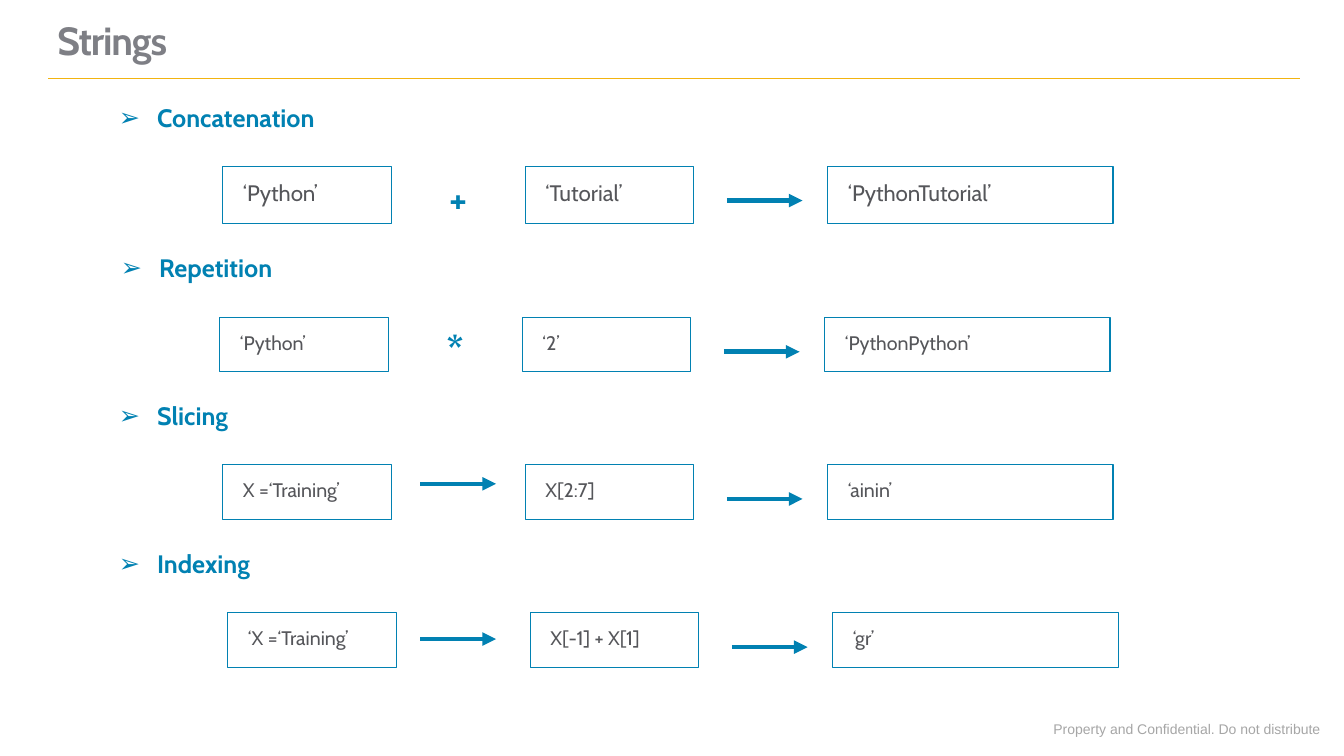
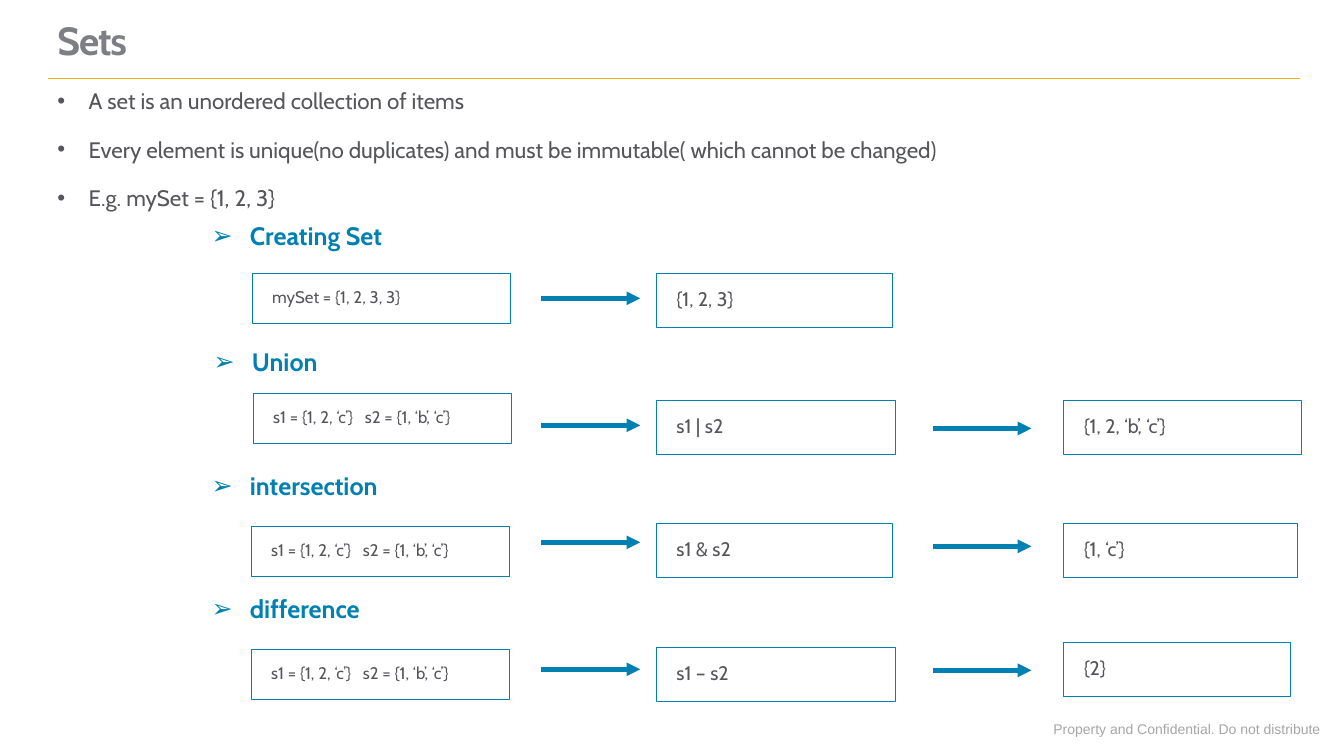
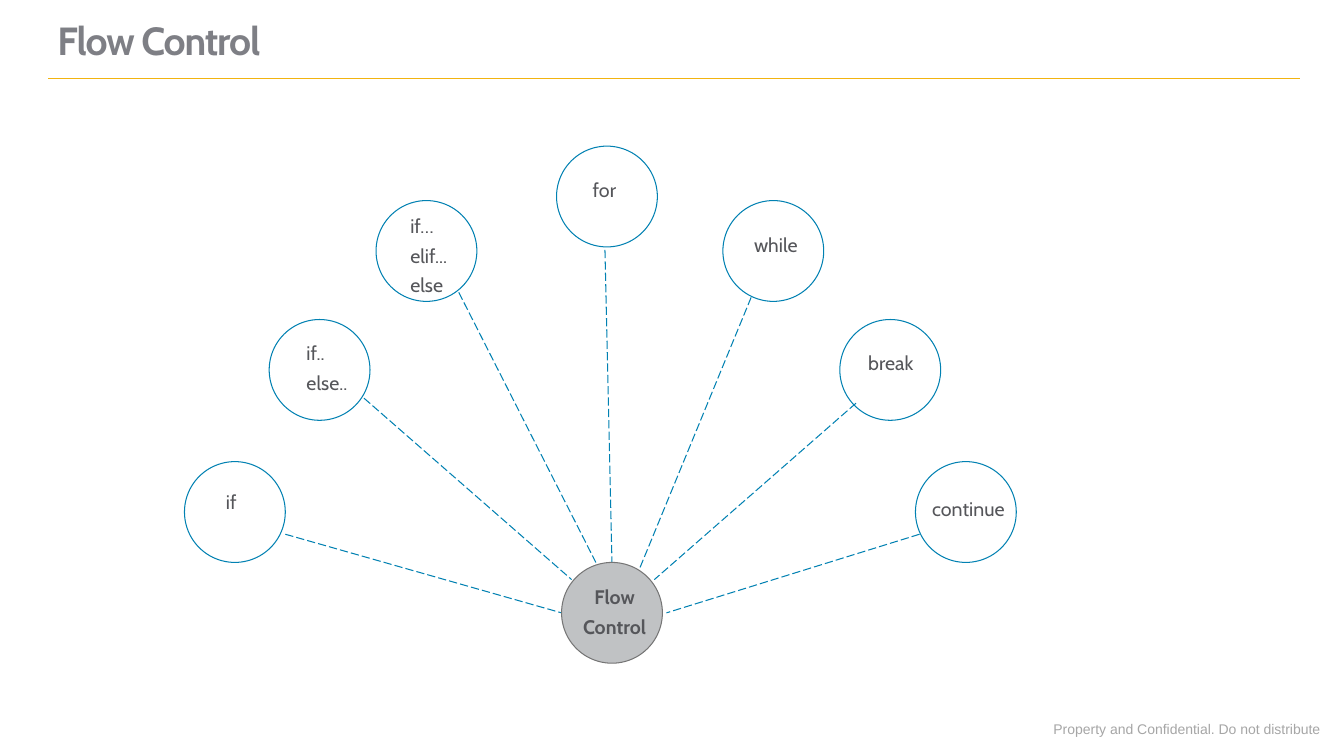
from lxml.etree import SubElement
from pptx import Presentation
from pptx.dml.color import RGBColor
from pptx.enum.dml import MSO_LINE
from pptx.enum.shapes import MSO_CONNECTOR, MSO_SHAPE
from pptx.enum.text import MSO_ANCHOR, PP_ALIGN
from pptx.oxml.ns import qn
from pptx.util import Inches, Pt

BLUE, GOLD, TITLE_GREY, TEXT_GREY = "0181B2", "F2B411", "7E7F85", "55565A"
FOOTER_GREY, HUB_FILL, HUB_LINE = "A6A6A6", "C0C2C4", "757575"
FONT = "Cabin"
WIDE_INSETS = (0.2, 0.16)
PLAIN_INSETS = (0.1, 0.05)


def color(value):
    return RGBColor.from_string(value)


def apply(target, values):
    for name, value in values.items():
        setattr(target, name, value)


class SlideBuilder:
    def __init__(self, deck):
        self.deck = deck
        self.page = None

    def start(self, title):
        """Add a page with the shared title, rule and footer."""
        self.page = self.deck.slides.add_slide(self.deck.slide_layouts[6])
        self.text((10.35, 7.1, 2.87, 0.27),
                  ["Property and Confidential. Do not distribute"], 10,
                  FOOTER_GREY, font="Arial", wrap=False, spacing=1.0, after=0)
        self.line((0.48, 0.78), (12.89, 0.78), GOLD)
        self.text((0.41, 0, 10, 0.73), [title], 28, TITLE_GREY, bold=True,
                  insets=(0.16, 0.1), anchor=MSO_ANCHOR.BOTTOM, after=0,
                  tracking=-80)

    def fill_text(self, box, lines, size, ink=TEXT_GREY, font=FONT, bold=False,
                  insets=PLAIN_INSETS, anchor=MSO_ANCHOR.TOP, wrap=True,
                  align=PP_ALIGN.LEFT, spacing=0.9, after=6, bullet=None,
                  indent=0, tab=None, tracking=None):
        """Fill a box with one paragraph for each line."""
        frame = box.text_frame
        side, edge = map(Inches, insets)
        apply(frame, {"word_wrap": wrap, "vertical_anchor": anchor,
                      "margin_left": side, "margin_right": side,
                      "margin_top": edge, "margin_bottom": edge})
        for number, line in enumerate(lines):
            para = frame.add_paragraph() if number else frame.paragraphs[0]
            properties = para._p.get_or_add_pPr()
            if bullet:
                properties.set("marL", str(Inches(indent)))
                properties.set("indent", str(-Inches(indent)))
                SubElement(properties, qn("a:buFont"), typeface="Arial")
                SubElement(properties, qn("a:buChar"), char=bullet)
            if tab:
                stops = SubElement(properties, qn("a:tabLst"))
                SubElement(stops, qn("a:tab"), pos=str(Inches(tab)), algn="l")
            apply(para, {"alignment": align, "line_spacing": spacing,
                         "space_after": Pt(after)})
            span = para.add_run()
            span.text = line
            apply(span.font, {"name": font, "size": Pt(size), "bold": bold})
            span.font.color.rgb = color(ink)
            if tracking:
                span._r.get_or_add_rPr().set("spc", str(tracking))

    def text(self, place, lines, size, ink=TEXT_GREY, **style):
        box = self.page.shapes.add_textbox(*map(Inches, place))
        self.fill_text(box, lines, size, ink, **style)

    def heading(self, place, label):
        self.text((*place, 0.37), [label], 18, BLUE, bold=True, wrap=False,
                  bullet="➢", indent=0.38)

    def operator(self, place, sign):
        self.text((*place, 0.53), [sign], 28, BLUE, bold=True, wrap=False,
                  align=PP_ALIGN.CENTER, after=0)

    def shape(self, kind, place, fill=None, edge=BLUE):
        shape = self.page.shapes.add_shape(kind, *map(Inches, place))
        shape.shadow.inherit = False
        if fill:
            shape.fill.solid()
            shape.fill.fore_color.rgb = color(fill)
        else:
            shape.fill.background()
        shape.line.color.rgb = color(edge)
        shape.line.width = Pt(0.75)
        return shape

    def code_box(self, place, code, size=14):
        box = self.shape(MSO_SHAPE.RECTANGLE, place)
        self.fill_text(box, [code], size, insets=WIDE_INSETS,
                       tab=0.91 if "\t" in code else None)

    def circle(self, left, top, **style):
        self.shape(MSO_SHAPE.OVAL, (left, top, 1, 1), **style)

    def line(self, start, end, ink=BLUE, width=0.75, dash=None, arrow=False):
        line = self.page.shapes.add_connector(
            MSO_CONNECTOR.STRAIGHT, *map(Inches, (*start, *end)))
        line.line.color.rgb = color(ink)
        line.line.width = Pt(width)
        if dash:
            line.line.dash_style = dash
        if arrow:
            SubElement(line.line._get_or_add_ln(), qn("a:tailEnd"),
                       type="triangle")
        SubElement(line._element.spPr, qn("a:effectLst"))

    def arrow(self, left, top, length):
        self.line((left, top), (left + length, top), width=3.25, arrow=True)


def strings_slide(builder):
    builder.start("Strings")
    # Heading, its place and width; boxes: left, top, height, size, code
    rows = [
        ("Concatenation", (1.08, 1.0, 2.19), (2.21, 1.65, 0.57, 16),
         ("‘Python’", "‘Tutorial’", "‘PythonTutorial’")),
        ("Repetition", (1.1, 2.49, 1.72), (2.18, 3.15, 0.54, 14),
         ("‘Python’", "‘2’", "‘PythonPython’")),
        ("Slicing", (1.08, 3.96, 1.31), (2.21, 4.61, 0.54, 14),
         ("X =‘Training’", "X[2:7]", "‘ainin’")),
        ("Indexing", (1.08, 5.42, 1.54), (2.26, 6.08, 0.54, 14),
         ("‘X =‘Training’", "X[-1] + X[1]", "‘gr’")),
    ]
    widths = (1.67, 1.67, 2.83)
    for label, place, (left, top, height, size), codes in rows:
        builder.heading(place, label)
        for column, (width, code) in enumerate(zip(widths, codes)):
            builder.code_box((left + 3 * column, top, width, height), code,
                             size)
        builder.arrow(left + 5, top + 0.34, 0.75)
    # Between the first two boxes
    builder.operator((4.31, 1.73, 0.47), "+")
    builder.operator((4.33, 3.23, 0.37), "*")
    for top in (4.8, 6.34):
        builder.arrow(4.17, top, 0.75)


def sets_slide(builder):
    builder.start("Sets")
    builder.text((0.37, 0.57, 12.54, 1.65), [
        "A set is an unordered collection of items",
        "Every element is unique(no duplicates) and must be immutable"
        "( which cannot be changed)",
        "E.g. mySet = {1, 2, 3}",
    ], 16, insets=WIDE_INSETS, spacing=1.5, bullet="•", indent=0.31)
    two_sets = "s1 = {1, 2, ‘c’}\ts2 = {1, ‘b’, ‘c’}"
    # Heading and place; input: left, top, code; steps: arrow, top, width, code
    rows = [
        ("Creating Set", (2, 2.17, 1.94), (2.5, 2.71, "mySet = {1, 2, 3, 3}"),
         [(2.96, 2.71, 2.34, "{1, 2, 3}")]),
        ("Union", (2.02, 3.42, 1.25), (2.51, 3.9, two_sets),
         [(4.22, 3.97, 2.37, "s1 | s2"),
          (4.25, 3.97, 2.36, "{1, 2, ‘b’, ‘c’}")]),
        ("intersection", (2, 4.65, 1.88), (2.49, 5.22, two_sets),
         [(5.38, 5.19, 2.34, "s1 & s2"), (5.42, 5.19, 2.32, "{1, ‘c’}")]),
        ("difference", (2, 5.87, 1.69), (2.49, 6.44, two_sets),
         [(6.64, 6.42, 2.37, "s1 – s2"), (6.65, 6.37, 2.25, "{2}")]),
    ]
    columns = [(5.37, 6.51), (9.25, 10.55)]
    for label, place, (left, top, code), steps in rows:
        builder.heading(place, label)
        builder.code_box((left, top, 2.56, 0.5), code, 12)
        for (arrow_left, box_left), step in zip(columns, steps):
            arrow_top, box_top, width, result = step
            builder.arrow(arrow_left, arrow_top, 0.98)
            builder.code_box((box_left, box_top, width, 0.54), result)


def flow_slide(builder):
    builder.start("Flow Control")
    left, center = PP_ALIGN.LEFT, PP_ALIGN.CENTER
    # Circle, label place, lines, alignment, spoke start and end
    branches = [
        ((1.83, 4.58), (2.04, 4.78, 0.51, 0.54), ["if"], left,
         (2.83, 5.3), (5.57, 6.08)),
        ((2.67, 3.17), (2.84, 3.25, 0.83, 0.83), ["if..", "else.."], left,
         (3.61, 3.95), (5.67, 5.75)),
        ((3.73, 1.99), (3.87, 1.99, 0.83, 1.13), ["if…", "elif...", "else"],
         left, (4.55, 2.9), (5.91, 5.58)),
        ((5.52, 1.45), (5.58, 1.69, 0.83, 0.54), ["for"], center,
         (6, 2.48), (6.07, 5.58)),
        ((7.17, 1.99), (7.24, 2.23, 0.91, 0.54), ["while"], center,
         (7.45, 2.95), (6.34, 5.65)),
        ((8.33, 3.17), (8.38, 3.4, 0.91, 0.54), ["break"], center,
         (8.49, 4), (6.49, 5.75)),
        ((9.08, 4.58), (8.94, 4.85, 1.33, 0.54), ["continue"], center,
         (9.12, 5.3), (6.61, 6.08)),
    ]
    for circle, place, lines, align, start, end in branches:
        builder.circle(*circle)
        builder.text(place, lines, 14, insets=WIDE_INSETS, align=align,
                     wrap=lines != ["if"])
        builder.line(start, end, dash=MSO_LINE.LONG_DASH)
    # Hub
    builder.circle(5.57, 5.58, fill=HUB_FILL, edge=HUB_LINE)
    builder.text((5.57, 5.67, 1.05, 0.83), ["Flow", "Control"], 14, bold=True,
                 insets=WIDE_INSETS, align=center, wrap=False)


def main():
    deck = Presentation()
    apply(deck, {"slide_width": Inches(13.33), "slide_height": Inches(7.5)})
    builder = SlideBuilder(deck)
    for build in (strings_slide, sets_slide, flow_slide):
        build(builder)
    deck.save("out.pptx")


if __name__ == "__main__":
    main()
